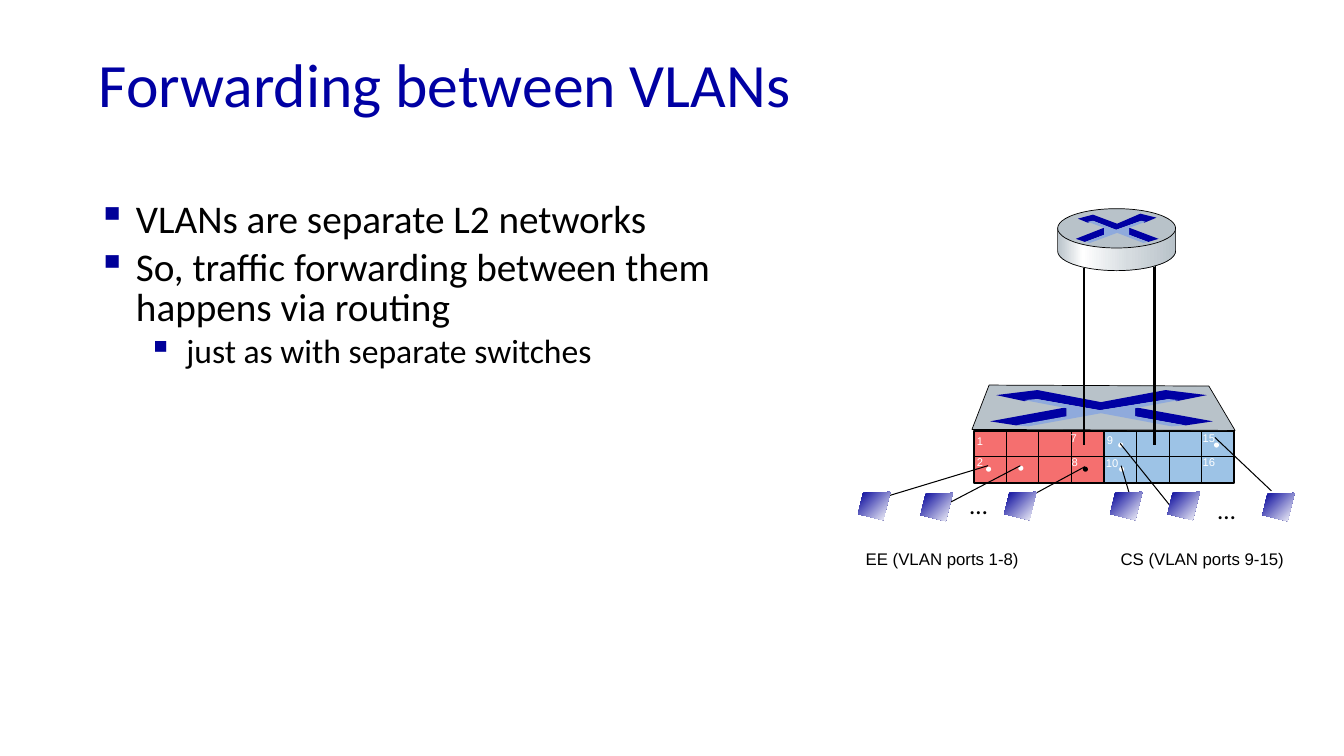
"""Build a slide on forwarding between VLANs."""
import math

import lxml.etree
import pptx
import pptx.chart.data
import pptx.dml.color
import pptx.enum.shapes
import pptx.enum.text
import pptx.oxml.ns
import pptx.util

Inches = pptx.util.Inches
Pt = pptx.util.Pt
qn = pptx.oxml.ns.qn
KINDS = pptx.enum.shapes.MSO_SHAPE

HUES = {
    "title": "0000A3", "bullet": "000099", "arrow": "0000A3", "shade": "8FAADC",
    "steel": "B8C2C9", "mist": "D6DCE0", "red": "F56F6F", "blue": "9DC3E6",
    "black": "000000", "white": "FFFFFF",
}

TITLE = "Forwarding between VLANs"
POINTS = [
    (0, "VLANs are separate L2 networks"),
    (0, "So, traffic forwarding between them happens via routing"),
    (1, "just as with separate switches"),
]
LEVELS = [(28, 0.38), (24, 0.88)]

BANKS = [
    {"left": 9.66, "fill": "red",
     "tags": [("1", 9.59, 4.26), ("8", 10.53, 4.47), ("2", 9.59, 4.47), ("7", 10.52, 4.23)],
     "dots": [(9.78, 4.63, "white"), (10.1, 4.62, "white"), (10.74, 4.63, "black")]},
    {"left": 10.95, "fill": "blue",
     "tags": [("9", 10.88, 4.25), ("16", 11.83, 4.47), ("10", 10.87, 4.48), ("15", 11.83, 4.23)],
     "dots": [(11.1, 4.63, "white"), (11.09, 4.39, "white"), (12.04, 4.39, "white")]},
]
BANK_TOP, BANK_WIDE, BANK_HIGH, COLS = 4.28, 1.29, 0.51, 4

LID = [(9.64, 4.26), (9.81, 3.82), (11.99, 3.83), (12.25, 4.27)]
SWITCH = [
    ("arrow", [(11.56, 3.87), (11.97, 3.92), (11.67, 3.98), (11.59, 3.96), (10.91, 4.07),
               (10.29, 3.96), (10.16, 3.98), (9.88, 3.92), (10.29, 3.87), (10.92, 3.99)]),
    ("arrow", [(11.26, 4.04), (12.03, 4.18), (11.76, 4.22), (11.25, 4.13)]),
    ("arrow", [(10.58, 4.04), (10.58, 4.14), (10.08, 4.22), (9.82, 4.18)]),
    ("shade", [(10.16, 3.97), (10.28, 3.96), (10.91, 4.07), (11.59, 3.96), (11.69, 3.97),
               (11.26, 4.05), (11.26, 4.13), (11.75, 4.22), (11.62, 4.23), (10.92, 4.1),
               (10.2, 4.23), (10.08, 4.22), (10.58, 4.13), (10.58, 4.05)]),
]
ROUTER = [
    ("arrow", [(11.31, 2.12), (11.47, 2.16), (11.35, 2.21), (11.32, 2.19), (11.07, 2.28),
               (10.84, 2.19), (10.79, 2.21), (10.69, 2.17), (10.84, 2.13), (11.08, 2.22)]),
    ("arrow", [(11.2, 2.26), (11.49, 2.37), (11.39, 2.4), (11.2, 2.33)]),
    ("arrow", [(10.95, 2.26), (10.95, 2.33), (10.76, 2.4), (10.67, 2.37)]),
    ("shade", [(10.79, 2.2), (10.84, 2.19), (11.07, 2.28), (11.32, 2.19), (11.36, 2.2),
               (11.2, 2.26), (11.2, 2.33), (11.38, 2.4), (11.34, 2.41), (11.08, 2.31),
               (10.81, 2.41), (10.77, 2.4), (10.95, 2.33), (10.95, 2.26)]),
]
DISC = (10.49, 2.07, 1.17, 0.39)
RIM = 2.49
METAL = [(0, "steel"), (21, "white"), (60, "mist"), (100, "steel")]

HOSTS = [(8.51, 4.88), (9.13, 4.89), (9.96, 4.88), (11.01, 4.88), (11.58, 4.88), (12.52, 4.89)]
SCREEN = [(0.32, 0), (0.05, 0.01), (0, 0.22), (0.25, 0.28)]
GLOW = [(0, "bullet"), (100, "white")]
CABLES = [
    (9.8, 4.62, 8.81, 4.92), (10.12, 4.62, 9.24, 5.08), (10.76, 4.63, 10.02, 5.03),
    (11.12, 4.62, 11.24, 5.03), (11.11, 4.4, 11.64, 5.06), (12.05, 4.34, 12.61, 4.87),
]
TRUNKS = [10.75, 11.45]
GAPS = [(9.52, 4.81), (11.98, 4.85)]
NOTES = [("EE (VLAN ports 1-8)", 8.4, 1.89), ("CS (VLAN ports 9-15)", 10.52, 2.81)]

deck = pptx.Presentation()
deck.slide_width, deck.slide_height = Inches(13.33), Inches(7.5)
slide = deck.slides.add_slide(deck.slide_layouts[6])
shapes = slide.shapes


def tint(name):
    return pptx.dml.color.RGBColor.from_string(HUES[name])


def paint(shape, fill, width=0):
    shape.shadow.inherit = False
    shape.fill.solid()
    shape.fill.fore_color.rgb = tint(fill)
    if width:
        shape.line.color.rgb = tint("black")
        shape.line.width = Pt(width)
    else:
        shape.line.fill.background()


def blend(shape, stops, angle):
    shape.fill.gradient()
    shape.fill.gradient_angle = -angle % 360
    ramp = shape._element.spPr.find(qn("a:gradFill")).find(qn("a:gsLst"))
    for stop in list(ramp):
        ramp.remove(stop)
    for spot, name in stops:
        stop = lxml.etree.SubElement(ramp, qn("a:gs"), pos=str(spot * 1000))
        lxml.etree.SubElement(stop, qn("a:srgbClr"), val=HUES[name])


def block(kind, box, fill, width=0):
    paint(shapes.add_shape(kind, *map(Inches, box)), fill, width)


def outline(spots, fill, width=0):
    spots = [(Inches(x), Inches(y)) for x, y in spots]
    pen = shapes.build_freeform(*spots[0])
    pen.add_line_segments(spots[1:], close=True)
    shape = pen.convert_to_shape()
    paint(shape, fill, width)
    return shape


def wire(x1, y1, x2, y2, width=0.75):
    line = shapes.add_connector(pptx.enum.shapes.MSO_CONNECTOR.STRAIGHT,
                                *map(Inches, (x1, y1, x2, y2)))
    line.line.color.rgb = tint("black")
    line.line.width = Pt(width)
    lxml.etree.SubElement(line._element.spPr, qn("a:effectLst"))


def style(para, size, face, hue):
    para.font.size = Pt(size)
    para.font.name = face
    para.font.color.rgb = tint(hue)


def label(text, box, size, face="Arial", hue="black", wrap=True):
    frame = shapes.add_textbox(*map(Inches, box)).text_frame
    frame.word_wrap = wrap
    para = frame.paragraphs[0]
    para.text = text
    style(para, size, face, hue)
    return frame


for bank in BANKS:
    left, mid = bank["left"], BANK_TOP + BANK_HIGH / 2 - 0.01
    block(KINDS.RECTANGLE, (left, BANK_TOP, BANK_WIDE, BANK_HIGH), bank["fill"], 1.5)
    wire(left, mid, left + BANK_WIDE, mid)
    for col in range(1, COLS):
        x = left + BANK_WIDE / COLS * col
        wire(x, BANK_TOP, x, BANK_TOP + BANK_HIGH)
    for text, x, y in bank["tags"]:
        label(text, (x, y, 0.19 + 0.07 * len(text), 0.23), 8, hue="white", wrap=False)
    for x, y, hue in bank["dots"]:
        block(KINDS.OVAL, (x, y, 0.05, 0.05), hue)

head = label(TITLE, (0.88, 0.38, 11.5, 0.98), 44, "Calibri", "title")
head.vertical_anchor = pptx.enum.text.MSO_ANCHOR.MIDDLE
head.paragraphs[0].line_spacing = 0.9

outline(LID, "steel", 0.5)
for hue, spots in SWITCH:
    outline(spots, hue)
for ends in CABLES:
    wire(*ends)
for x, y in GAPS:
    label("…", (x, y, 0.38, 0.4), 18, "Calibri", wrap=False)
for text, x, wide in NOTES:
    note = label(text, (x, 5.39, wide, 0.3), 12)
    note.paragraphs[0].alignment = pptx.enum.text.PP_ALIGN.CENTER
for left, top in HOSTS:
    blend(outline([(left + x, top + y) for x, y in SCREEN], "bullet"), GLOW, 45)

body = shapes.add_textbox(*map(Inches, (0.87, 1.95, 6.78, 4.45))).text_frame
body.word_wrap = True
for rank, (level, text) in enumerate(POINTS):
    para = body.add_paragraph() if rank else body.paragraphs[0]
    size, inset = LEVELS[level]
    para.text, para.level, para.line_spacing = text, level, 0.85
    if rank:
        para.space_before = Pt(size * 0.2)
    props = para._p.get_or_add_pPr()
    props.set("marL", str(Inches(inset)))
    props.set("indent", str(-Inches(0.38)))
    mark = lxml.etree.SubElement(props, qn("a:buClr"))
    lxml.etree.SubElement(mark, qn("a:srgbClr"), val=HUES["bullet"])
    lxml.etree.SubElement(props, qn("a:buChar"), char="▪")
    style(para, size, "Calibri", "black")

for x in TRUNKS:
    wire(x, 2.42, x, 4.41, 1.75)
left, top, wide, high = DISC
arc = [(left + wide / 2 * (1 + math.cos(math.radians(turn))),
        RIM + high / 2 * math.sin(math.radians(turn))) for turn in range(0, 181, 6)]
drum = outline([(left, top + high / 2), (left + wide, top + high / 2)] + arc, "steel", 0.5)
blend(drum, METAL, 0)
block(KINDS.OVAL, DISC, "steel", 0.5)
for hue, spots in ROUTER:
    outline(spots, hue)

deck.save("out.pptx")
